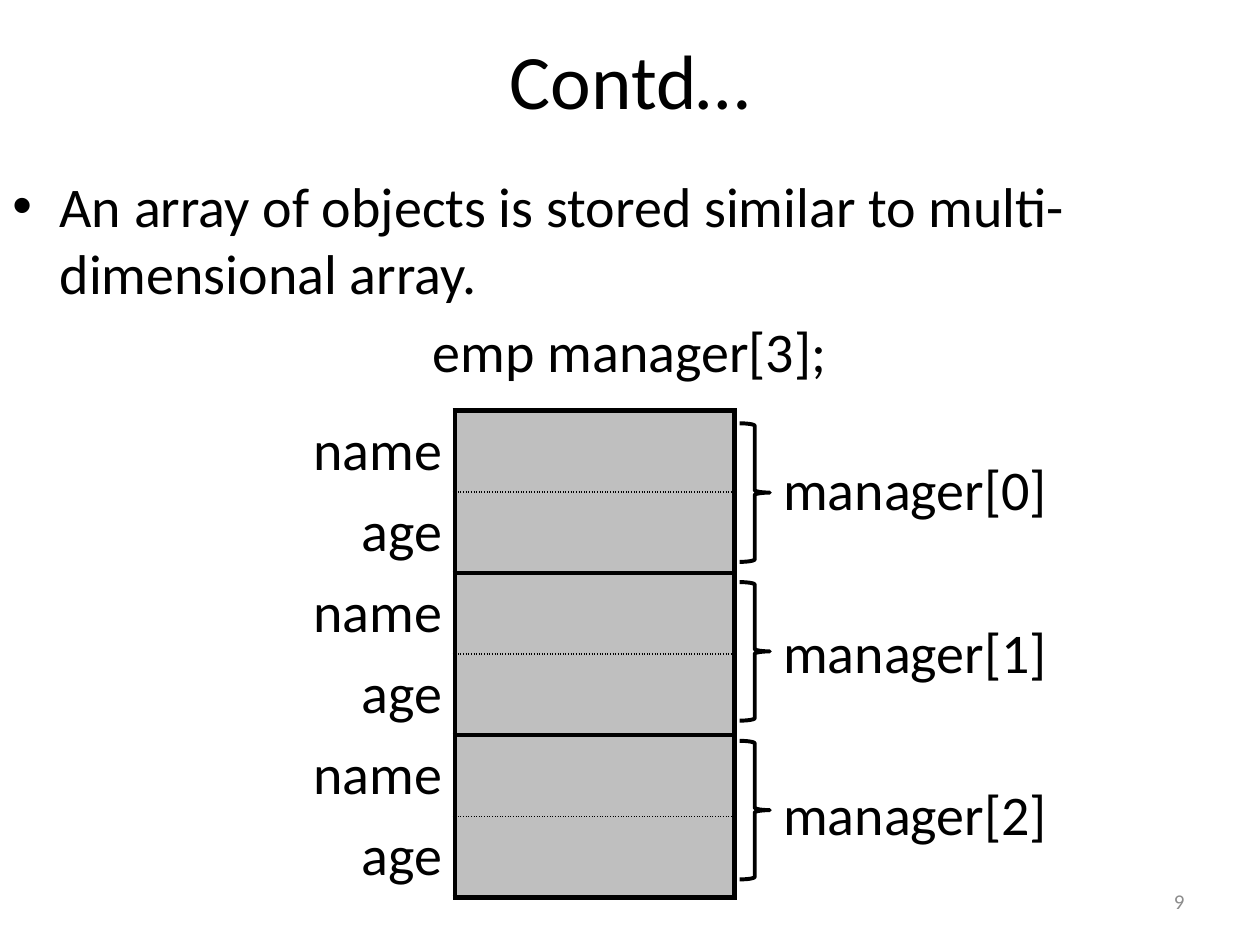
import pptx
import pptx.dml.color
import pptx.enum.shapes
import pptx.enum.text
import pptx.oxml
import pptx.oxml.ns
import pptx.util
from lxml import etree

BLACK = pptx.dml.color.RGBColor(0x00, 0x00, 0x00)
SILVER = pptx.dml.color.RGBColor(0xBF, 0xBF, 0xBF)
GREY = pptx.dml.color.RGBColor(0x8C, 0x8C, 0x8C)

ALIGN = pptx.enum.text.PP_ALIGN
ANCHOR = pptx.enum.text.MSO_ANCHOR

# The slide is a grid of 100 columns by 75 rows of square units
COLUMNS, ROWS = 100, 75
UNIT = pptx.util.Inches(0.1)

OBJECTS = 3
FIELDS = ("name", "age")
FIELD_HEIGHT = 6.44
SOLID, DOTTED = (3, "solid"), (1, "sysDot")


def units(count):
    return round(count * UNIT)


class SlideBuilder:
    """Holds the text style and the current slide."""

    font_name = "Calibri"
    body_size = 32

    def __init__(self, presentation):
        self.slide = presentation.slides.add_slide(presentation.slide_layouts[6])

    def style(self, paragraph, align, size=body_size, color=BLACK):
        paragraph.alignment = align
        paragraph.font.name = self.font_name
        paragraph.font.size = pptx.util.Pt(size)
        paragraph.font.color.rgb = color

    def frame(self, left, top, width, height, anchor):
        box = self.slide.shapes.add_textbox(*map(units, (left, top, width, height)))
        box.text_frame.word_wrap = True
        box.text_frame.vertical_anchor = anchor
        return box.text_frame

    def line(self, left, top, width, height, text, align, size, color=BLACK):
        paragraph = self.frame(left, top, width, height, ANCHOR.MIDDLE).paragraphs[0]
        paragraph.text = text
        self.style(paragraph, align, size, color)

    def body(self, left, top, width, height, items):
        """Add paragraphs given as (text, alignment, bullet or None)."""
        frame = self.frame(left, top, width, height, ANCHOR.TOP)
        for index, (text, align, bullet) in enumerate(items):
            paragraph = frame.add_paragraph() if index else frame.paragraphs[0]
            paragraph.text = text
            properties = paragraph._p.get_or_add_pPr()
            properties.set("marL", str(units(3.75)))
            properties.set("indent", str(units(-3.75)))
            if index:
                paragraph.space_before = pptx.util.Pt(0.2 * self.body_size)
            if bullet:
                font = etree.SubElement(properties, pptx.oxml.ns.qn("a:buFont"))
                font.set("typeface", "Arial")
                mark = etree.SubElement(properties, pptx.oxml.ns.qn("a:buChar"))
                mark.set("char", bullet)
            self.style(paragraph, align)

    def table(self, left, top, widths, row_height, row_count):
        shape = self.slide.shapes.add_table(
            row_count, len(widths), units(left), units(top),
            units(sum(widths)), units(row_height * row_count))
        table = shape.table
        table.first_row = table.horz_banding = False
        for column, width in zip(table.columns, widths):
            column.width = units(width)
        for row in table.rows:
            row.height = units(row_height)
        return table

    def cell(self, cell, text="", align=ALIGN.CENTER, fill=None, anchor=ANCHOR.TOP, **borders):
        """Fill a cell; borders map L, R, T, B to (width, dash)."""
        cell.text = text
        cell.vertical_anchor = anchor
        self.style(cell.text_frame.paragraphs[0], align)
        properties = cell._tc.get_or_add_tcPr()
        for side in "LRTB":
            line = etree.SubElement(properties, pptx.oxml.ns.qn(f"a:ln{side}"))
            if side not in borders:
                etree.SubElement(line, pptx.oxml.ns.qn("a:noFill"))
                continue
            width, dash = borders[side]
            line.set("w", str(pptx.util.Pt(width)))
            solid = etree.SubElement(line, pptx.oxml.ns.qn("a:solidFill"))
            etree.SubElement(solid, pptx.oxml.ns.qn("a:srgbClr")).set("val", str(BLACK))
            etree.SubElement(line, pptx.oxml.ns.qn("a:prstDash")).set("val", dash)
        if fill is None:
            cell.fill.background()
        else:
            cell.fill.solid()
            cell.fill.fore_color.rgb = fill

    def brace(self, left, top, width, height):
        shape = self.slide.shapes.add_shape(
            pptx.enum.shapes.MSO_SHAPE.RIGHT_BRACE,
            *map(units, (left, top, width, height)))
        shape.shadow.inherit = False
        shape.fill.background()
        shape.line.color.rgb = BLACK
        shape.line.width = pptx.util.Pt(2.25)


def main():
    presentation = pptx.Presentation()
    presentation.slide_width = units(COLUMNS)
    presentation.slide_height = units(ROWS)
    builder = SlideBuilder(presentation)

    # Title, text and slide number
    builder.line(0, 0, COLUMNS, 12.5, "Contd…", ALIGN.CENTER, 44)
    builder.body(0, 13.1, COLUMNS, 55.9, [
        ("An array of objects is stored similar to multi-dimensional array.", ALIGN.LEFT, "•"),
        ("emp manager[3];", ALIGN.CENTER, None),
    ])
    builder.line(71.7, 69.5, 23.3, 4, "9", ALIGN.RIGHT, 12, GREY)

    # Memory layout: one row per field, one merged label per object
    table = builder.table(23.5, 32.6, (12.6, 22.2, 28.7), FIELD_HEIGHT,
                          OBJECTS * len(FIELDS))
    for number in range(OBJECTS):
        first = number * len(FIELDS)
        last = first + len(FIELDS) - 1
        for row, field in enumerate(FIELDS, first):
            builder.cell(table.cell(row, 0), field, ALIGN.RIGHT, R=SOLID)
            builder.cell(table.cell(row, 1), fill=SILVER, L=SOLID, R=SOLID,
                         T=SOLID if row == first else DOTTED,
                         B=SOLID if row == last else DOTTED)
            builder.cell(table.cell(row, 2), L=SOLID)
        label = table.cell(first, 2)
        label.merge(table.cell(last, 2))
        label.text = f"manager[{number}]"
        label.vertical_anchor = ANCHOR.MIDDLE
        builder.style(label.text_frame.paragraphs[0], ALIGN.CENTER)

    # Braces joining the fields of each object
    for number in range(OBJECTS):
        builder.brace(58.7, 33.6 + 12.6 * number, 2.4, 11)

    presentation.save("out.pptx")


if __name__ == "__main__":
    main()
